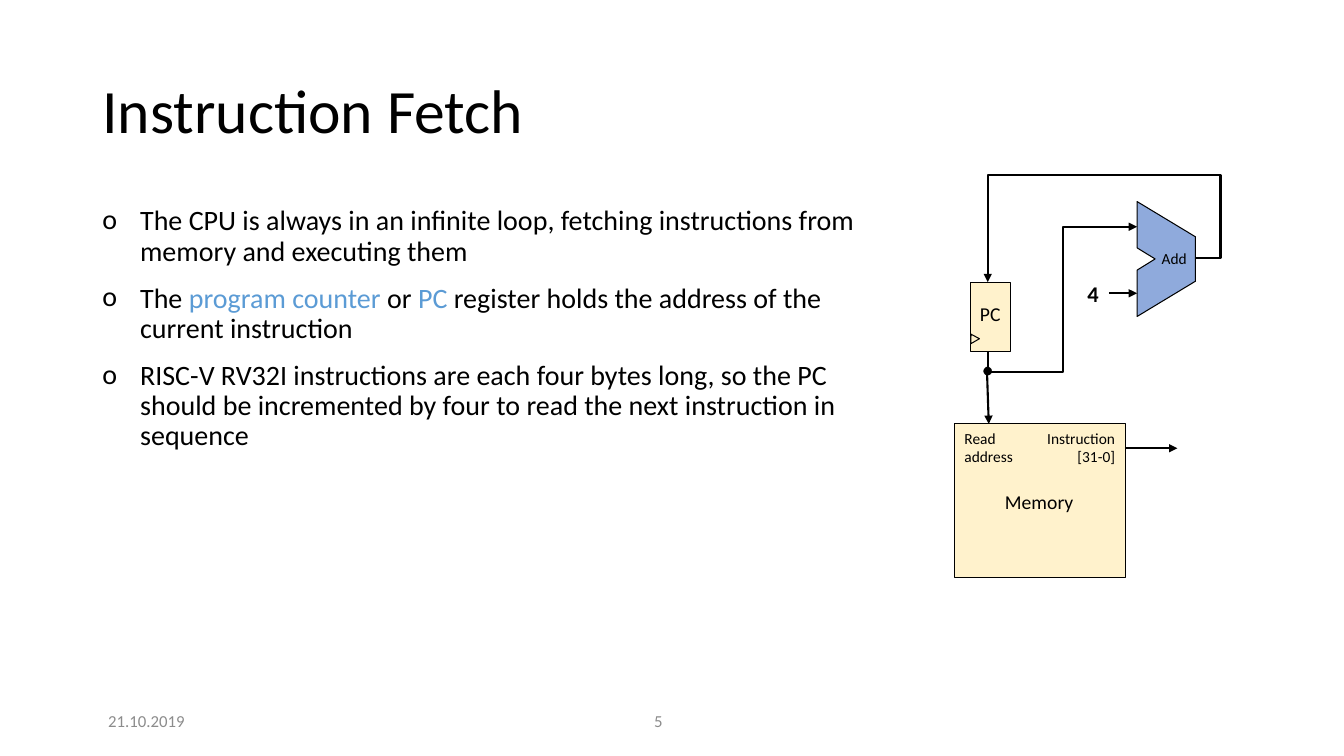
import pptx
import pptx.util
import pptx.dml.color
import pptx.enum.shapes
import pptx.enum.text
import pptx.oxml.ns
from lxml import etree

Pt = pptx.util.Pt
qn = pptx.oxml.ns.qn
SHAPE = pptx.enum.shapes.MSO_SHAPE
CONNECTOR = pptx.enum.shapes.MSO_CONNECTOR
ALIGN = pptx.enum.text.PP_ALIGN
ANCHOR = pptx.enum.text.MSO_ANCHOR

COLORS = {
    "ink": "000000",
    "term": "5B9BD5",
    "footer": "8C8C8C",
    "storage": "FFF2CC",
    "adder": "8FAADC",
}
FONT = "Calibri"
POINTS = [
    [("The CPU is always in an infinite loop, fetching instructions from "
      "memory and executing them", "ink")],
    [("The ", "ink"), ("program counter ", "term"), ("or ", "ink"), ("PC", "term"),
     (" register holds the address of the current instruction", "ink")],
    [("RISC-V RV32I instructions are each four bytes long, so the PC should be "
      "incremented by four to read the next instruction in sequence", "ink")],
]


def rgb(color):
    return pptx.dml.color.RGBColor.from_string(COLORS[color])


def set_font(font, size, color="ink", bold=False):
    font.name, font.size, font.bold = FONT, Pt(size), bold
    font.color.rgb = rgb(color)


def add_title(slide, text):
    title = slide.shapes.title
    title.left, title.top, title.width, title.height = Pt(66), Pt(28.8), Pt(828), Pt(104.4)
    title.text_frame.text = text
    title.text_frame.vertical_anchor = ANCHOR.MIDDLE
    paragraph = title.text_frame.paragraphs[0]
    paragraph.alignment = ALIGN.LEFT
    paragraph.line_spacing = 0.9
    set_font(paragraph.font, 44)


def add_label(slide, text, left, top, width, height, size, align=ALIGN.LEFT,
              color="ink", bold=False, wrap=False, inset=None, anchor=ANCHOR.TOP):
    """Add text whose lines, split at newlines, become paragraphs."""
    label = slide.shapes.add_textbox(Pt(left), Pt(top), Pt(width), Pt(height))
    frame = label.text_frame
    frame.word_wrap = wrap
    frame.vertical_anchor = anchor
    if inset is not None:
        frame.margin_left = frame.margin_right = Pt(inset)
        frame.margin_top = frame.margin_bottom = Pt(inset)
    frame.text = text
    for paragraph in frame.paragraphs:
        paragraph.alignment = align
        set_font(paragraph.font, size, color, bold)


def add_points(slide):
    frame = slide.shapes.add_textbox(Pt(66), Pt(144), Pt(555), Pt(325.4)).text_frame
    frame.word_wrap = True
    for index, pieces in enumerate(POINTS):
        paragraph = frame.paragraphs[0] if index == 0 else frame.add_paragraph()
        paragraph.line_spacing = 0.9
        paragraph.space_before = Pt(12 if index else 0)
        properties = paragraph._p.get_or_add_pPr()
        properties.set("marL", str(Pt(27)))
        properties.set("indent", str(-Pt(27)))
        etree.SubElement(properties, qn("a:buFont")).set("typeface", FONT)
        etree.SubElement(properties, qn("a:buChar")).set("char", "o")
        for text, color in pieces:
            run = paragraph.add_run()
            run.text = text
            set_font(run.font, 20, color)


def style(shape, fill, line_width=0.75):
    shape.shadow.inherit = False
    shape.fill.solid()
    shape.fill.fore_color.rgb = rgb(fill)
    shape.line.color.rgb = rgb("ink")
    shape.line.width = Pt(line_width)


def add_part(slide, kind, left, top, width, height, fill="storage", line_width=0.75):
    part = slide.shapes.add_shape(kind, Pt(left), Pt(top), Pt(width), Pt(height))
    style(part, fill, line_width)
    return part


def add_adder(slide):
    left, notch, right = 812.2, 825.1, 853.9
    outline = [(left, 144), (left, 177.1), (notch, 185), (left, 193),
               (left, 226.1), (right, 200.9), (right, 169.2)]
    corners = [(Pt(x), Pt(y)) for x, y in outline]
    builder = slide.shapes.build_freeform(*corners[0], scale=1.0)
    builder.add_line_segments(corners[1:], close=True)
    style(builder.convert_to_shape(), "adder")


def add_wire(slide, start, end, kind=CONNECTOR.STRAIGHT, arrow=True):
    wire = slide.shapes.add_connector(kind, *map(Pt, start + end))
    wire.line.color.rgb = rgb("ink")
    wire.line.width = Pt(1.5)
    if arrow:
        etree.SubElement(wire.line._get_or_add_ln(), qn("a:tailEnd")).set("type", "triangle")
    etree.SubElement(wire._element.spPr, qn("a:effectLst"))
    return wire


def route_around(wire, **adjustments):
    """Turn an elbow wire into one with three bends."""
    geometry = wire._element.spPr.find(qn("a:prstGeom"))
    geometry.set("prst", "bentConnector4")
    guides = geometry.find(qn("a:avLst"))
    if guides is None:
        guides = etree.SubElement(geometry, qn("a:avLst"))
    for name, value in adjustments.items():
        etree.SubElement(guides, qn("a:gd"), name=name, fmla=f"val {value}")


def draw_next_address(slide):
    feedback = add_wire(slide, (853.9, 184.5), (705.6, 201.6), CONNECTOR.ELBOW)
    route_around(feedback, adj1=-12100, adj2=-350000)
    add_part(slide, SHAPE.OVAL, 702.6, 262.2, 5.8, 5.8, "ink", 0.25)
    add_wire(slide, (707, 265.6), (812.2, 162), CONNECTOR.ELBOW)
    add_adder(slide)
    add_label(slide, "Add", 824.4, 177.8, 28.8, 13.7, 11, ALIGN.CENTER, wrap=True, inset=0)
    add_label(slide, "4", 769.7, 196.6, 23, 26.6, 16, bold=True)
    add_wire(slide, (792, 209.5), (812.2, 209.5))


def draw_memory(slide):
    add_part(slide, SHAPE.RECTANGLE, 681.8, 302.8, 122.4, 109.4)
    add_label(slide, "Read\naddress", 681.8, 302.8, 49, 33.8, 11)
    add_label(slide, "Instruction [31-0]", 733, 302.8, 70.6, 33.8, 11, ALIGN.RIGHT, wrap=True)
    add_label(slide, "Memory", 710.6, 346.3, 63.4, 24.5, 14, ALIGN.CENTER)
    add_wire(slide, (803.5, 320.2), (841, 320.2))


def draw_program_counter(slide):
    add_wire(slide, (705.6, 251.3), (705.6, 267.1), arrow=False)
    add_part(slide, SHAPE.RECTANGLE, 693.4, 201.6, 28.1, 49.2)
    add_label(slide, "PC", 692.6, 212.4, 29.5, 24.5, 14, ALIGN.CENTER)
    clock_mark = add_part(slide, SHAPE.ISOSCELES_TRIANGLE, 691.5, 238.3, 7.2, 5.8)
    clock_mark.rotation = 330
    add_wire(slide, (704.9, 262.1), (706.3, 302.8))


def main():
    deck = pptx.Presentation()
    deck.slide_width, deck.slide_height = Pt(960), Pt(540)
    slide = deck.slides.add_slide(deck.slide_layouts.get_by_name("Title Only"))
    add_title(slide, "Instruction Fetch")
    add_points(slide)
    draw_next_address(slide)
    draw_memory(slide)
    draw_program_counter(slide)
    add_label(slide, "21.10.2019", 66.2, 500.4, 77, 28.8, 12, ALIGN.CENTER,
              "footer", anchor=ANCHOR.MIDDLE)
    add_label(slide, "5", 460.1, 500.4, 56.9, 28.8, 12, color="footer",
              wrap=True, anchor=ANCHOR.MIDDLE)
    deck.save("out.pptx")


if __name__ == "__main__":
    main()
